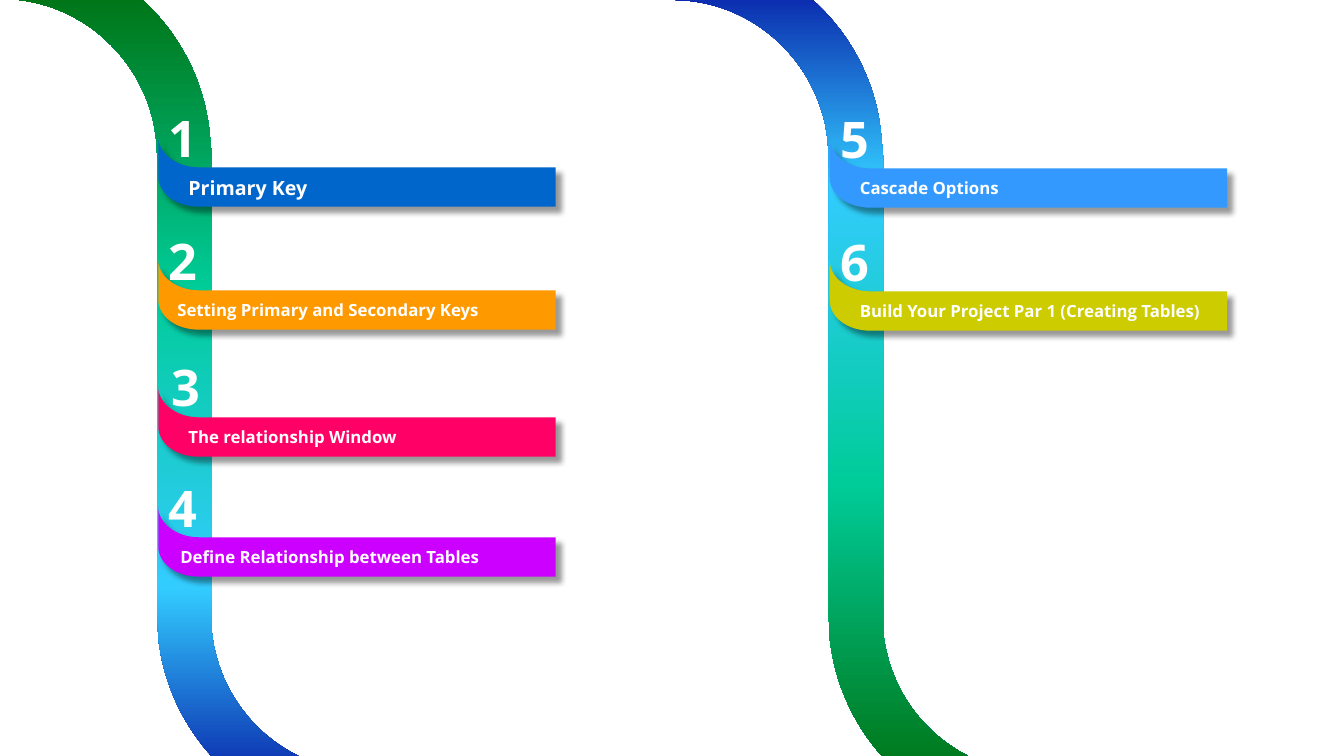
"""Build a six-step agenda slide with numbered ribbons along two curved pipes."""
import dataclasses
import typing

import lxml.etree
import pptx
import pptx.dml.color
import pptx.enum.text
import pptx.oxml.ns
import pptx.presentation
import pptx.shapes.autoshape
import pptx.util

Point = tuple[float, float]
Segment = tuple[Point, ...]
Inches = pptx.util.Inches
qualified = pptx.oxml.ns.qn


@dataclasses.dataclass(frozen=True)
class Theme:
    font: str = "Open Sans"
    text: str = "FFFFFF"
    shadow: str = "000000"
    number_size: int = 36
    label_size: int = 12
    first_label_size: int = 14
    pipe_stops: tuple[tuple[int, str], ...] = (
        (0, "000099"), (27, "33CCFF"), (61, "00CC99"), (100, "006600"))


@dataclasses.dataclass(frozen=True)
class Pipe:
    left: float
    top: float
    gradient_angle: int


@dataclasses.dataclass(frozen=True)
class Step:
    number: str
    label: str
    color: str
    left: float
    top: float
    label_indent: float = 0.2
    label_width: float = 3.74
    label_size: int = Theme.label_size
    number_offset: float = -0.11
    number_lift: float = 0.35


THEME = Theme()
RIBBON_WIDTH = 3.94
NUMBER_BOX = 0.71

PIPE_OUTLINE: tuple[Segment, ...] = (
    ((0, 0),),
    ((1.08, 0), (1.97, 0.82), (2.07, 1.87)),
    ((2.09, 2.09),),
    ((2.09, 6.64),),
    ((2.09, 6.8),),
    ((2.17, 7.59), (2.83, 8.2), (3.64, 8.2)),
    ((3.64, 8.73),),
    ((2.56, 8.73), (1.67, 7.91), (1.56, 6.86)),
    ((1.55, 6.64),),
    ((1.55, 2.09),),
    ((1.54, 1.93),),
    ((1.46, 1.15), (0.8, 0.53), (0, 0.53)),
)
RIBBON_OUTLINE: tuple[Segment, ...] = (
    ((0.4, 0.69),),
    ((RIBBON_WIDTH, 0.69),),
    ((RIBBON_WIDTH, 0.3),),
    ((0.4, 0.3),),
    ((0.18, 0.3), (0, 0.16), (0, 0)),
    ((0, 0.39),),
    ((0, 0.56), (0.18, 0.69), (0.4, 0.69)),
)

PIPES = (Pipe(0.01, -0.54, 90), Pipe(6.67, -0.53, 270))
STEPS = (
    Step("1", "Primary Key", "0066CC", 1.57, 1.36,
         label_size=THEME.first_label_size),
    Step("2", "Setting Primary and Secondary Keys", "FF9900", 1.57, 2.58,
         label_indent=0.09, label_width=4.29),
    Step("3", "The relationship Window", "FF0066", 1.57, 3.84,
         number_offset=-0.08, number_lift=0.36),
    Step("4", "Define Relationship between Tables", "CC00FF", 1.57, 5.03,
         label_indent=0.12, label_width=4.19),
    Step("5", "Cascade Options", "3399FF", 8.23, 1.37),
    Step("6", "Build Your Project Par 1 (Creating Tables)", "CCCC00", 8.23, 2.59),
)


def add_outline(shapes: typing.Any, outline: tuple[Segment, ...],
                left: float, top: float) -> pptx.shapes.autoshape.Shape:
    """Add a closed freeform with true curves and no line or shadow."""
    start, *others = [(Inches(left + segment[-1][0]), Inches(top + segment[-1][1]))
                      for segment in outline]
    builder = shapes.build_freeform(*start)
    builder.add_line_segments(others, close=True)
    shape = builder.convert_to_shape()
    lines = shape.element.spPr.findall(".//" + qualified("a:lnTo"))
    for line, segment in zip(lines, outline[1:]):
        if len(segment) == 3:
            curve = lxml.etree.Element(qualified("a:cubicBezTo"))
            for x, y in segment:
                lxml.etree.SubElement(curve, qualified("a:pt"),
                                      x=str(Inches(x)), y=str(Inches(y)))
            line.getparent().replace(line, curve)
    shape.line.fill.background()
    shape.shadow.inherit = False
    return shape


def add_color(parent: typing.Any, color: str) -> typing.Any:
    """Append an RGB colour element."""
    return lxml.etree.SubElement(parent, qualified("a:srgbClr"), val=color)


def add_text(shapes: typing.Any, text: str, *, left: float, top: float,
             width: float, height: float, size: int,
             align: pptx.enum.text.PP_ALIGN = pptx.enum.text.PP_ALIGN.LEFT) -> None:
    """Add a bold text box in the theme font."""
    frame = shapes.add_textbox(
        Inches(left), Inches(top), Inches(width), Inches(height)).text_frame
    frame.word_wrap = True
    frame.auto_size = pptx.enum.text.MSO_AUTO_SIZE.SHAPE_TO_FIT_TEXT
    paragraph = frame.paragraphs[0]
    paragraph.alignment = align
    run = paragraph.add_run()
    run.text = text
    run.font.name = THEME.font
    run.font.size = pptx.util.Pt(size)
    run.font.bold = True
    run.font.color.rgb = pptx.dml.color.RGBColor.from_string(THEME.text)


def add_pipe(shapes: typing.Any, pipe: Pipe) -> None:
    """Draw a curved pipe with a four-colour gradient."""
    shape = add_outline(shapes, PIPE_OUTLINE, pipe.left, pipe.top)
    shape.fill.gradient()
    shape.fill.gradient_angle = pipe.gradient_angle
    stops = shape.element.spPr.find(".//" + qualified("a:gsLst"))
    for stop in list(stops):
        stops.remove(stop)
    for position, color in THEME.pipe_stops:
        add_color(lxml.etree.SubElement(
            stops, qualified("a:gs"), pos=str(position * 1000)), color)


def add_ribbon(shapes: typing.Any, step: Step) -> None:
    """Draw the folded ribbon with its drop shadow."""
    shape = add_outline(shapes, RIBBON_OUTLINE, step.left, step.top)
    shape.fill.solid()
    shape.fill.fore_color.rgb = pptx.dml.color.RGBColor.from_string(step.color)
    effects = shape.element.spPr.find(qualified("a:effectLst"))
    shadow = lxml.etree.SubElement(
        effects, qualified("a:outerShdw"), blurRad=str(pptx.util.Pt(4)),
        dist=str(pptx.util.Pt(5)), dir="2700000", algn="tl", rotWithShape="0")
    lxml.etree.SubElement(
        add_color(shadow, THEME.shadow), qualified("a:alpha"), val="40000")


def add_step(shapes: typing.Any, step: Step) -> None:
    """Draw one ribbon, its label and its number."""
    group = shapes.add_group_shape()
    add_ribbon(group.shapes, step)
    add_text(group.shapes, step.label, left=step.left + step.label_indent,
             top=step.top + 0.34, width=step.label_width,
             height=0.34 if step.label_size > THEME.label_size else 0.3,
             size=step.label_size)
    add_text(shapes, step.number, left=step.left + step.number_offset,
             top=step.top - step.number_lift, width=NUMBER_BOX, height=NUMBER_BOX,
             size=THEME.number_size, align=pptx.enum.text.PP_ALIGN.CENTER)


def main() -> None:
    """Create and save the presentation."""
    presentation: pptx.presentation.Presentation = pptx.Presentation()
    presentation.slide_width = Inches(13.33)
    presentation.slide_height = Inches(7.5)
    slide = presentation.slides.add_slide(presentation.slide_layouts[6])
    for pipe in PIPES:
        add_pipe(slide.shapes, pipe)
    for step in STEPS:
        add_step(slide.shapes, step)
    presentation.save("out.pptx")


if __name__ == "__main__":
    main()
